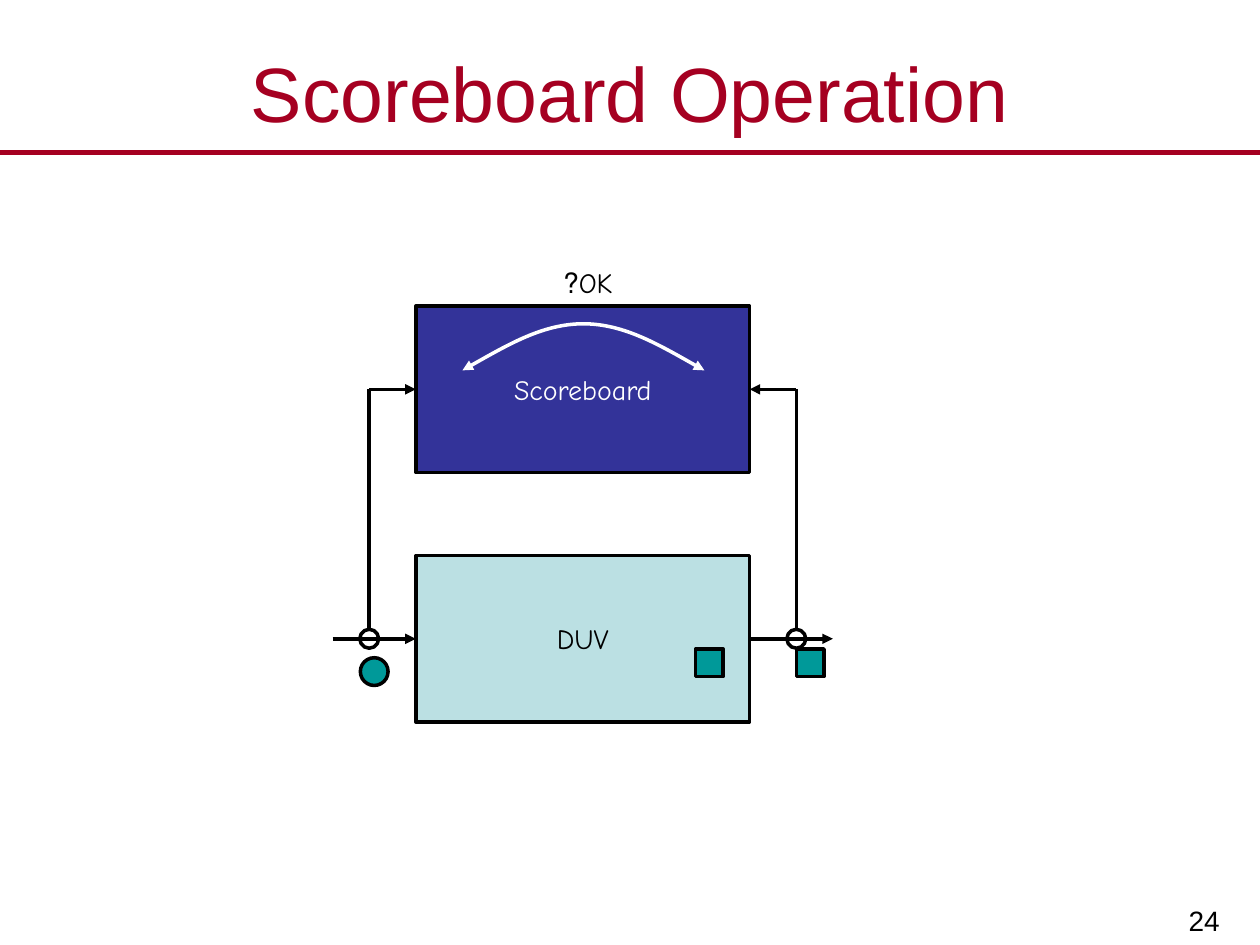
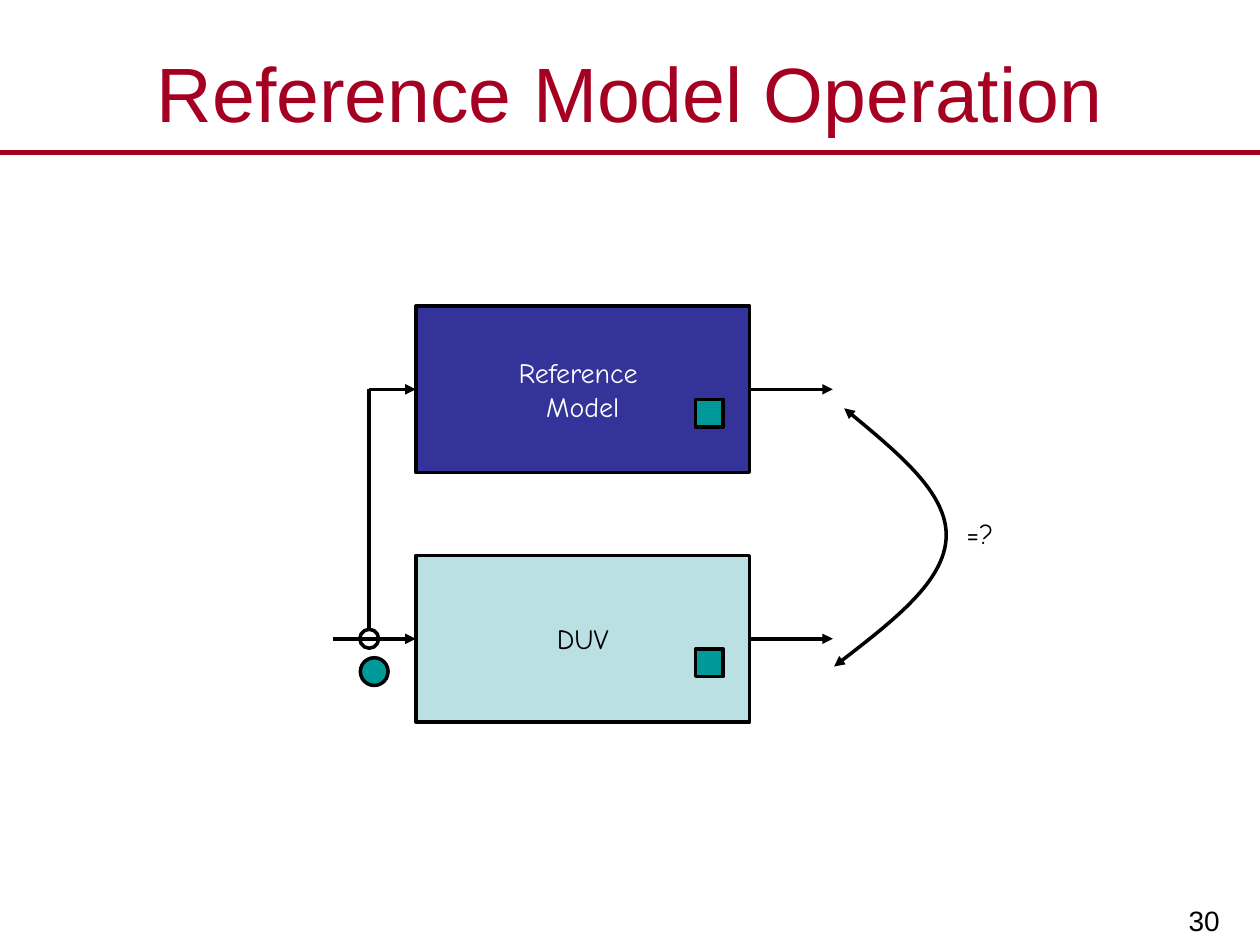
from dataclasses import dataclass
from pptx import Presentation
from pptx import util as u
from pptx.dml import color as dml
from pptx.enum import shapes, text
from pptx.oxml import xmlchemy as xc
from pptx.oxml import ns

RECT = shapes.MSO_SHAPE.RECTANGLE
OVAL = shapes.MSO_SHAPE.OVAL
ALIGN = text.PP_ALIGN
ANCHOR = text.MSO_ANCHOR
FIT = text.MSO_AUTO_SIZE


@dataclass(frozen=True)
class Theme:
    red: str = "A50021"
    ink: str = "000000"
    white: str = "FFFFFF"
    navy: str = "333399"
    pale: str = "BBE0E3"
    teal: str = "009999"
    sans: str = "Arial"
    hand: str = "Comic Neue"
    title: int = 44
    body: int = 16
    rule: float = 3
    line: float = 2


@dataclass(frozen=True)
class Box:
    x: float
    y: float
    w: float
    h: float

    @property
    def right(self):
        return self.x + self.w

    @property
    def mid(self):
        return self.y + self.h / 2

    def lengths(self):
        return [u.Inches(v) for v in (self.x, self.y, self.w, self.h)]


T = Theme()
TOP = Box(3.3, 2.43, 2.65, 1.32)
LOW = Box(3.3, 4.41, 2.65, 1.32)
HEAD = Box(0, 0.3, 10, 0.86)
FOOT = Box(7.8, 6.93, 1.99, 0.57)
STUB = 0.66
TAP = 0.37
RING = 0.15
MARK = 0.22


def rgb(code):
    return dml.RGBColor.from_string(code)


def put(item, values):
    for name, value in values.items():
        setattr(item, name, value)


def write(frame, lines, font, size, hue, align, anchor=ANCHOR.MIDDLE,
          pad=(0.09, 0.04), wrap=False, fit=FIT.NONE):
    side, edge = map(u.Inches, pad)
    put(frame, dict(word_wrap=wrap, auto_size=fit, vertical_anchor=anchor,
                    margin_left=side, margin_right=side,
                    margin_top=edge, margin_bottom=edge))
    frame.text = lines
    for para in frame.paragraphs:
        para.alignment = align
        put(para.font, dict(name=font, size=u.Pt(size)))
        para.font.color.rgb = rgb(hue)


def stroke(item, hue=T.ink, width=T.line, **ends):
    item.line.color.rgb = rgb(hue)
    item.line.width = u.Pt(width)
    for name in ("headEnd", "tailEnd"):
        if name in ends:
            end = xc.OxmlElement("a:" + name)
            end.set("type", ends[name])
            item.line._get_or_add_ln().append(end)


def wire(slide, start, stop, hue=T.ink, width=T.line, **ends):
    spots = [u.Inches(v) for v in (*start, *stop)]
    link = slide.shapes.add_connector(shapes.MSO_CONNECTOR.STRAIGHT, *spots)
    stroke(link, hue, width, **ends)
    link._element.spPr.append(xc.OxmlElement("a:effectLst"))


def arrow(slide, start, stop):
    wire(slide, start, stop, tailEnd="triangle")


def solid(slide, kind, box, fill=None):
    item = slide.shapes.add_shape(kind, *box.lengths())
    item.shadow.inherit = False
    if fill:
        item.fill.solid()
        item.fill.fore_color.rgb = rgb(fill)
    else:
        item.fill.background()
    stroke(item)
    return item


def label(slide, box, words, align, rtl=False):
    note = slide.shapes.add_textbox(*box.lengths())
    write(note.text_frame, words, T.hand, T.body, T.ink, align,
          ANCHOR.TOP, fit=FIT.SHAPE_TO_FIT_TEXT)
    if rtl:
        note.text_frame.paragraphs[0]._p.get_or_add_pPr().set("rtl", "1")


def curve(slide, spots, hue):
    spots = [(u.Inches(x), u.Inches(y)) for x, y in spots]
    maker = slide.shapes.build_freeform(*spots[0])
    maker.add_line_segments(spots[1:], close=False)
    arc = maker.convert_to_shape()
    arc.shadow.inherit = False
    arc.fill.background()
    stroke(arc, hue, headEnd="triangle", tailEnd="triangle")
    steps = list(arc._element.iter(ns.qn("a:lnTo")))
    for i in range(0, len(steps), 3):
        bend = xc.OxmlElement("a:cubicBezTo")
        steps[i].addprevious(bend)
        for step in steps[i:i + 3]:
            bend.append(step[0])
            step.getparent().remove(step)


def block(slide, box, words, fill, hue):
    item = solid(slide, RECT, box, fill)
    write(item.text_frame, words, T.hand, T.body, hue, ALIGN.CENTER)


def output(slide, box):
    arrow(slide, (box.right, box.mid), (box.right + STUB, box.mid))


def token(slide, box):
    solid(slide, RECT, Box(box.x + 2.22, box.y + 0.74, MARK, MARK), T.teal)


def tap(slide, edge, side):
    x = edge + side * TAP
    ring = Box(x - RING / 2, LOW.mid - RING / 2, RING, RING)
    solid(slide, OVAL, ring)
    wire(slide, (x, ring.y), (x, TOP.mid))
    arrow(slide, (x, TOP.mid), (edge, TOP.mid))


def device(slide, box):
    block(slide, box, "DUV", T.pale, T.ink)
    arrow(slide, (box.x - STUB, box.mid), (box.x, box.mid))
    output(slide, box)
    tap(slide, box.x, -1)
    solid(slide, OVAL, Box(box.x - 0.44, box.y + 0.81, MARK, MARK), T.teal)
    token(slide, box)


def frame(deck, title, number):
    slide = deck.slides.add_slide(deck.slide_layouts[5])
    wire(slide, (0, 1.21), (10, 1.21), T.red, T.rule)
    head = slide.shapes.title
    put(head, dict(zip(("left", "top", "width", "height"), HEAD.lengths())))
    write(head.text_frame, title, T.sans, T.title, T.red, ALIGN.CENTER,
          pad=(0.1, 0.05), wrap=True)
    foot = slide.shapes.add_textbox(*FOOT.lengths())
    write(foot.text_frame, number, T.sans, T.body, T.ink, ALIGN.RIGHT,
          ANCHOR.BOTTOM, (0.11, 0.06), True)
    return slide


def score(deck):
    slide = frame(deck, "Scoreboard Operation", "24")
    device(slide, LOW)
    block(slide, TOP, "Scoreboard", T.navy, T.white)
    tap(slide, LOW.right, 1)
    solid(slide, RECT, Box(LOW.right + TAP, LOW.y + 0.74, MARK, MARK), T.teal)
    bend = [(0.37, 0.51), (0.69, 0.33), (1.01, 0.14), (1.33, 0.14),
            (1.65, 0.14), (1.97, 0.33), (2.29, 0.51)]
    curve(slide, [(TOP.x + x, TOP.y + y) for x, y in bend], T.white)
    label(slide, Box(TOP.x + 1.04, TOP.y - 0.36, 0.61, 0.35), "OK?",
          ALIGN.RIGHT, True)


def model(deck):
    slide = frame(deck, "Reference Model Operation", "30")
    block(slide, TOP, "Reference \nModel", T.navy, T.white)
    output(slide, TOP)
    device(slide, LOW)
    token(slide, TOP)
    bend = [(0.75, 0.81), (1.16, 1.15), (1.57, 1.49), (1.56, 1.83),
            (1.55, 2.18), (1.11, 2.52), (0.67, 2.86)]
    curve(slide, [(TOP.right + x, TOP.y + y) for x, y in bend], T.ink)
    label(slide, Box(TOP.right + 1.63, TOP.y + 1.63, 0.41, 0.35), "=?",
          ALIGN.LEFT)


def main():
    deck = Presentation()
    put(deck, dict(slide_width=u.Inches(10), slide_height=u.Inches(7.5)))
    score(deck)
    model(deck)
    deck.save("out.pptx")


if __name__ == "__main__":
    main()
